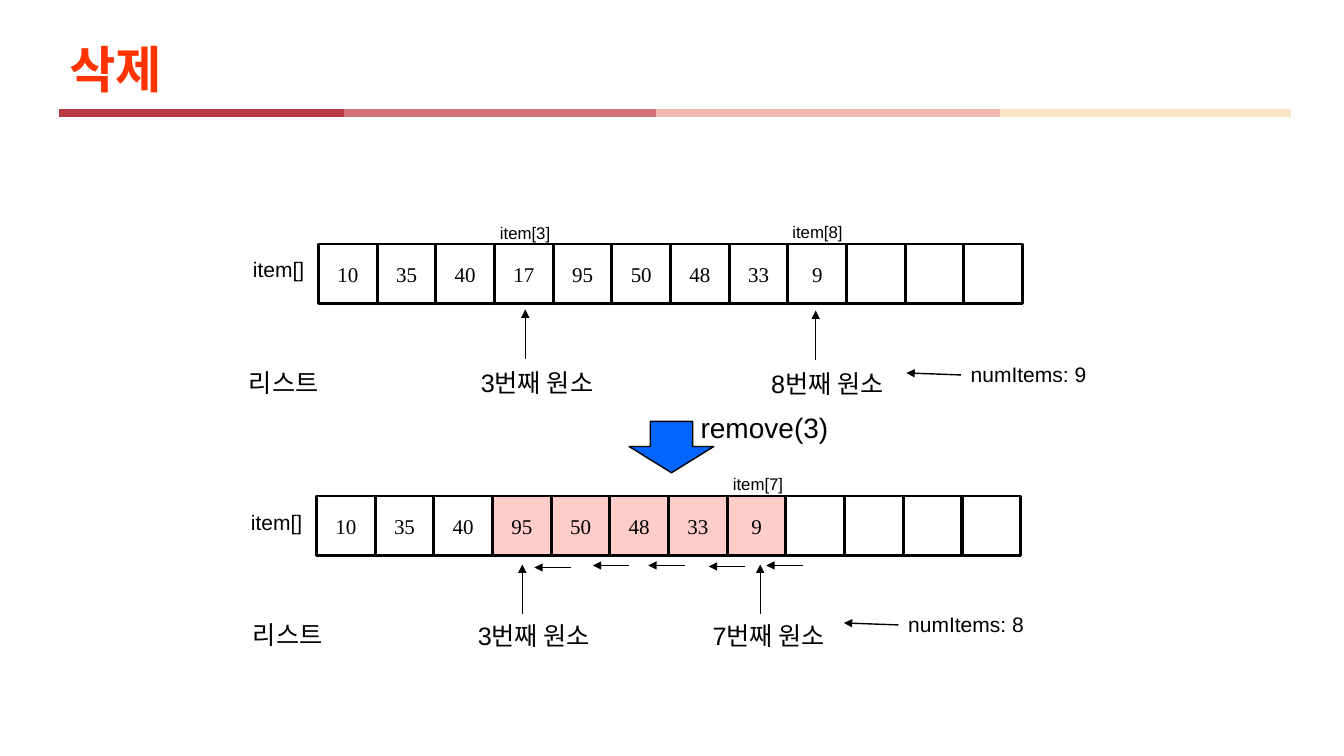
from lxml import etree
from pptx import Presentation
from pptx.dml.color import RGBColor
from pptx.enum import shapes, text
from pptx.oxml.ns import qn
from pptx.util import Inches, Pt

BLACK = "000000"
PINK = "FFCDC9"
CELL_W, CELL_H, CELL_PITCH, CELL_COUNT = 0.58, 0.59, 0.582, 12


def rgb(value):
    """Turn a hex string into a colour."""
    return RGBColor.from_string(value)


def set_font(p, size, name="Arial", color=BLACK, bold=False):
    """Format a whole paragraph, with a Korean face for the Hangul."""
    p.font.size = Pt(size)
    p.font.name = name
    p.font.bold = bold
    p.font.color.rgb = rgb(color)
    ea = etree.SubElement(p._p.pPr.find(qn("a:defRPr")), qn("a:ea"))
    ea.set("typeface", "Noto Sans CJK KR")


def add_title(s, title):
    """Place and format the title."""
    sp = s.shapes.title
    sp.left, sp.top, sp.width, sp.height = map(Inches, (0.59, 0.32, 12.17, 0.79))
    tf = sp.text_frame
    tf.text = title
    tf.vertical_anchor = text.MSO_ANCHOR.MIDDLE
    p = tf.paragraphs[0]
    p.alignment = text.PP_ALIGN.LEFT
    p.line_spacing = 0.9
    set_font(p, 36, "Noto Sans CJK KR", "FF3300", True)


def add_label(s, left, top, width, height, label, size):
    """Add a one-line label that does not wrap."""
    sp = s.shapes.add_textbox(*map(Inches, (left, top, width, height)))
    tf = sp.text_frame
    tf.word_wrap = False
    tf.auto_size = text.MSO_AUTO_SIZE.SHAPE_TO_FIT_TEXT
    tf.text = label
    set_font(tf.paragraphs[0], size)


def add_line(s, x1, y1, x2, y2, color=BLACK, width=1, arrow=True):
    """Add a straight line, with an arrowhead at its end if asked."""
    line = s.shapes.add_connector(
        shapes.MSO_CONNECTOR.STRAIGHT, *map(Inches, (x1, y1, x2, y2)))
    line.line.color.rgb = rgb(color)
    line.line.width = Pt(width)
    if arrow:
        etree.SubElement(line.line._get_or_add_ln(), qn("a:tailEnd")).set("type", "triangle")
    etree.SubElement(line._element.spPr, qn("a:effectLst"))


def add_block(s, kind, left, top, width, height, fill=None, line_width=2):
    """Add an outlined preset shape."""
    sp = s.shapes.add_shape(kind, *map(Inches, (left, top, width, height)))
    sp.shadow.inherit = False
    if fill:
        sp.fill.solid()
        sp.fill.fore_color.rgb = rgb(fill)
    else:
        sp.fill.background()
    sp.line.color.rgb = rgb(BLACK)
    sp.line.width = Pt(line_width)
    return sp


def add_array(s, left, top, values, shifted=()):
    """Draw the array cells, tinting the shifted ones."""
    for i in range(CELL_COUNT):
        sp = add_block(s, shapes.MSO_SHAPE.RECTANGLE, left + i * CELL_PITCH, top,
                       CELL_W, CELL_H, PINK if i in shifted else None)
        if i < len(values):
            tf = sp.text_frame
            tf.margin_left = tf.margin_right = 0
            tf.vertical_anchor = text.MSO_ANCHOR.MIDDLE
            tf.text = str(values[i])
            p = tf.paragraphs[0]
            p.alignment = text.PP_ALIGN.CENTER
            set_font(p, 15, "Times New Roman")


def main():
    """Build the slide."""
    prs = Presentation()
    prs.slide_width, prs.slide_height = Inches(13.33), Inches(7.5)
    s = prs.slides.add_slide(prs.slide_layouts[5])
    add_title(s, "삭제")
    for x1, x2, color in [(3.1, 6.51, "D37079"), (6.51, 9.92, "F2B8B4"),
                          (9.92, 12.8, "F8E6C7"), (0.59, 3.41, "B93945")]:
        add_line(s, x1, 1.12, x2, 1.12, color, 6, False)

    add_array(s, 3.16, 2.42, [10, 35, 40, 17, 95, 50, 48, 33, 9])
    add_array(s, 3.14, 4.92, [10, 35, 40, 95, 50, 48, 33, 9], range(3, 8))

    for x, y in [(2.41, 2.5), (2.39, 5.01)]:
        add_label(s, x, y, 0.72, 0.35, "item[]", 15)
    for x, y in [(2.37, 3.59), (2.41, 6.09)]:
        add_label(s, x, y, 0.96, 0.4, "리스트", 18)
    for x, y, index in [(4.86, 2.16, 3), (7.76, 2.15, 8), (7.17, 4.65, 7)]:
        add_label(s, x, y, 0.71, 0.3, f"item[{index}]", 12)
    for x, y, index in [(4.67, 3.59, 3), (7.55, 3.6, 8), (4.64, 6.11, 3), (6.97, 6.1, 7)]:
        add_label(s, x, y, 1.42, 0.4, f"{index}번째 원소", 18)
    for x, y in [(5.21, 3.56), (8.09, 3.57), (5.18, 6.09), (7.54, 6.09)]:
        add_line(s, x, y, x, y - 0.49)
    for x, y, count in [(9.53, 3.54, 9), (8.91, 6.02, 8)]:
        add_label(s, x, y, 1.36, 0.35, f"numItems: {count}", 15)
        add_line(s, x, y + 0.18, x - 0.54, y + 0.16)
    for x, y in [(5.3, 5.63), (5.88, 5.61), (6.43, 5.61), (7.03, 5.62), (7.6, 5.61)]:
        add_line(s, x + 0.36, y, x, y)

    arrow = add_block(s, shapes.MSO_SHAPE.DOWN_ARROW, 6.24, 4.18, 0.84, 0.51, "0066FF", 1)
    arrow.adjustments[0], arrow.adjustments[1] = 0.5, 0.51
    add_label(s, 6.85, 4.02, 1.48, 0.44, "remove(3)", 20)
    prs.save("out.pptx")


if __name__ == "__main__":
    main()
